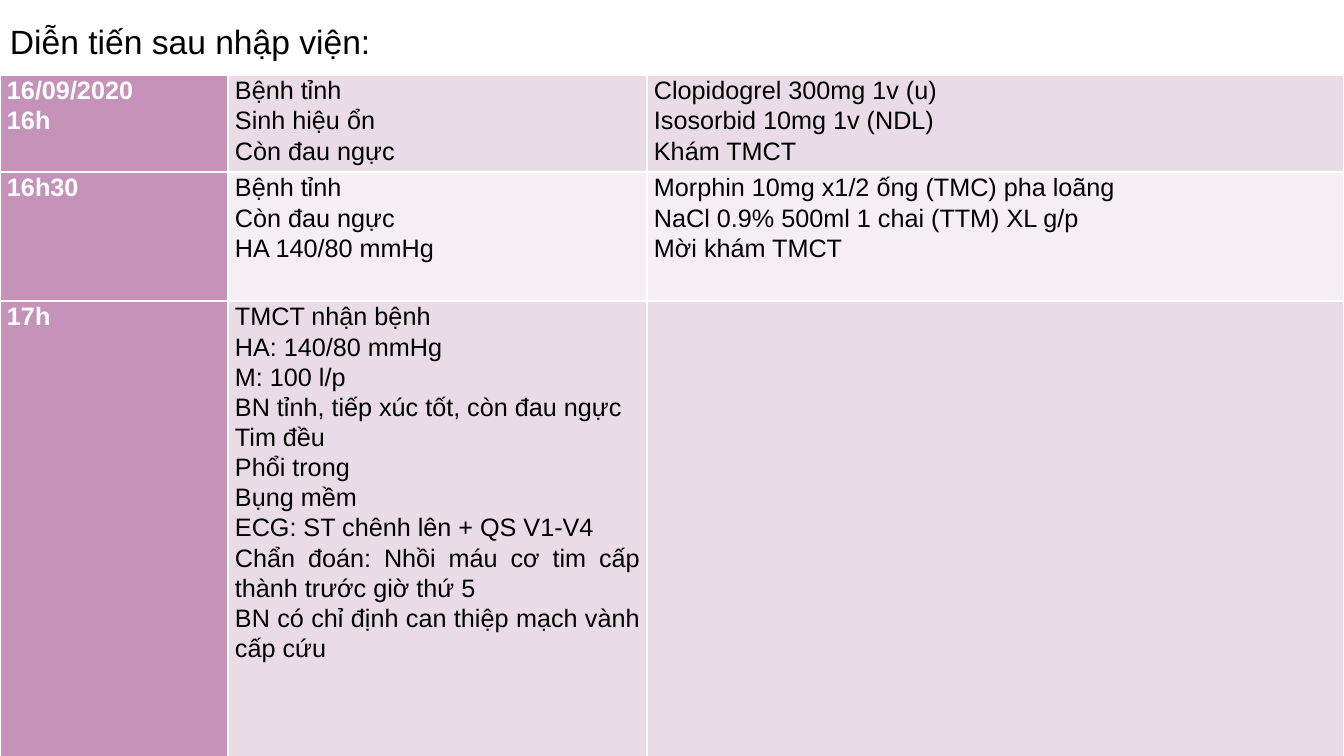
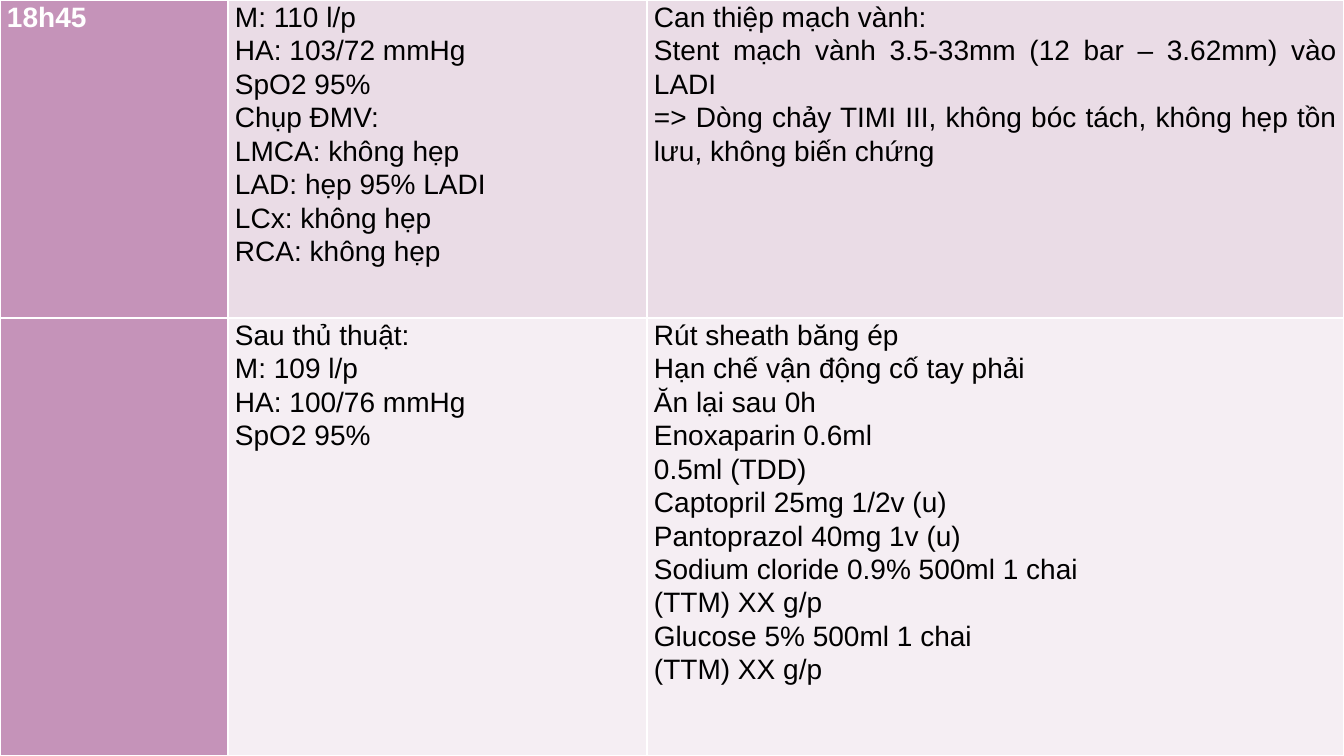
from pptx import Presentation
from pptx.dml.color import RGBColor as Rgb
from pptx.enum.text import MSO_AUTO_SIZE as Fit, PP_ALIGN as Align
from pptx.oxml import parse_xml
from pptx.oxml.ns import nsdecls
from pptx.util import Emu, Pt

WIDTH, HEIGHT = 1344, 756
COLS = (228, 419, 697)


def px(n):
    return Emu(round(n * 12192000 / WIDTH))


def hue(code):
    return Rgb.from_string(code)


class Deck:
    face = "Arial"
    ink, white = "000000", "FFFFFF"
    head = "C593B9"
    bands = ("EADCE6", "F5EEF3")
    pad = 7

    def __init__(self):
        self.prs = Presentation()
        self.prs.slide_width, self.prs.slide_height = px(WIDTH), px(HEIGHT)
        self.slide = None

    def page(self):
        self.slide = self.prs.slides.add_slide(self.prs.slide_layouts[6])

    def label(self, frame, text, size, color, bold=False):
        frame.text = text
        frame.word_wrap = True
        for para in frame.paragraphs:
            para.alignment = Align.JUSTIFY
            para.line_spacing = 1.07
            for part in (para, *para.runs):
                font = part.font
                font.name, font.size, font.bold = self.face, Pt(size), bold
                font.color.rgb = hue(color)

    def title(self, text):
        box = self.slide.shapes.add_textbox(px(0), px(13), px(672), px(51))
        self.label(box.text_frame, text, 24, self.ink)
        box.text_frame.auto_size = Fit.SHAPE_TO_FIT_TEXT
        box.text_frame.paragraphs[0].space_after = Pt(8)

    def edge(self, cell):
        props = cell._tc.get_or_add_tcPr()
        for side in "LRTB":
            props.append(parse_xml(
                f'<a:ln{side} {nsdecls("a")} w="12700"><a:solidFill>'
                f'<a:srgbClr val="{self.white}"/></a:solidFill></a:ln{side}>'))

    def table(self, top, heights, rows, size):
        grid = self.slide.shapes.add_table(
            len(rows), len(COLS), px(0), px(top), px(WIDTH), px(sum(heights))).table
        grid.first_row = grid.horz_banding = False
        for col, width in zip(grid.columns, COLS):
            col.width = px(width)
        for i, (height, texts) in enumerate(zip(heights, rows)):
            grid.rows[i].height = px(height)
            for j, text in enumerate(texts):
                cell = grid.cell(i, j)
                cell.margin_left = cell.margin_right = px(self.pad)
                cell.margin_top = cell.margin_bottom = 0
                self.edge(cell)
                cell.fill.solid()
                first = j == 0
                cell.fill.fore_color.rgb = hue(self.head if first else self.bands[i % 2])
                self.label(cell.text_frame, text, size,
                           self.white if first else self.ink, first)


# Course on the first afternoon: time, findings, orders
DAY = [
    ("16/09/2020\n16h",
     "Bệnh tỉnh\nSinh hiệu ổn\nCòn đau ngực",
     "Clopidogrel 300mg 1v (u)\nIsosorbid 10mg 1v (NDL)\nKhám TMCT"),
    ("16h30",
     "Bệnh tỉnh\nCòn đau ngực\nHA 140/80 mmHg",
     "Morphin 10mg x1/2 ống (TMC) pha loãng\n"
     "NaCl 0.9% 500ml 1 chai (TTM) XL g/p\n"
     "Mời khám TMCT"),
    ("17h",
     "TMCT nhận bệnh\n"
     "HA: 140/80 mmHg\n"
     "M: 100 l/p\n"
     "BN tỉnh, tiếp xúc tốt, còn đau ngực\n"
     "Tim đều\n"
     "Phổi trong\n"
     "Bụng mềm\n"
     "ECG: ST chênh lên + QS V1-V4\n"
     "Chẩn đoán: Nhồi máu cơ tim cấp thành trước giờ thứ 5\n"
     "BN có chỉ định can thiệp mạch vành cấp cứu",
     ""),
]

# The procedure and the care after it
CARE = [
    ("18h45",
     "M: 110 l/p\n"
     "HA: 103/72 mmHg\n"
     "SpO2 95%\n"
     "Chụp ĐMV:\n"
     "LMCA: không hẹp\n"
     "LAD: hẹp 95% LADI\n"
     "LCx: không hẹp\n"
     "RCA: không hẹp",
     "Can thiệp mạch vành:\n"
     "Stent mạch vành 3.5-33mm (12 bar – 3.62mm) vào LADI\n"
     "=> Dòng chảy TIMI III, không bóc tách, không hẹp tồn lưu, không biến chứng"),
    ("",
     "Sau thủ thuật:\nM: 109 l/p\nHA: 100/76 mmHg\nSpO2 95%",
     "Rút sheath băng ép\n"
     "Hạn chế vận động cố tay phải\n"
     "Ăn lại sau 0h\n"
     "Enoxaparin 0.6ml\n"
     "0.5ml (TDD)\n"
     "Captopril 25mg 1/2v (u)\n"
     "Pantoprazol 40mg 1v (u)\n"
     "Sodium cloride 0.9% 500ml 1 chai\n"
     "(TTM) XX g/p\n"
     "Glucose 5% 500ml 1 chai\n"
     "(TTM) XX g/p"),
]


def main():
    deck = Deck()

    # Slide 1: after admission
    deck.page()
    deck.title("Diễn tiến sau nhập viện:")
    deck.table(75, (97, 129, 470), DAY, 18)

    # Slide 2: coronary procedure
    deck.page()
    deck.table(0, (318, 438), CARE, 20)

    deck.prs.save("out.pptx")


if __name__ == "__main__":
    main()
